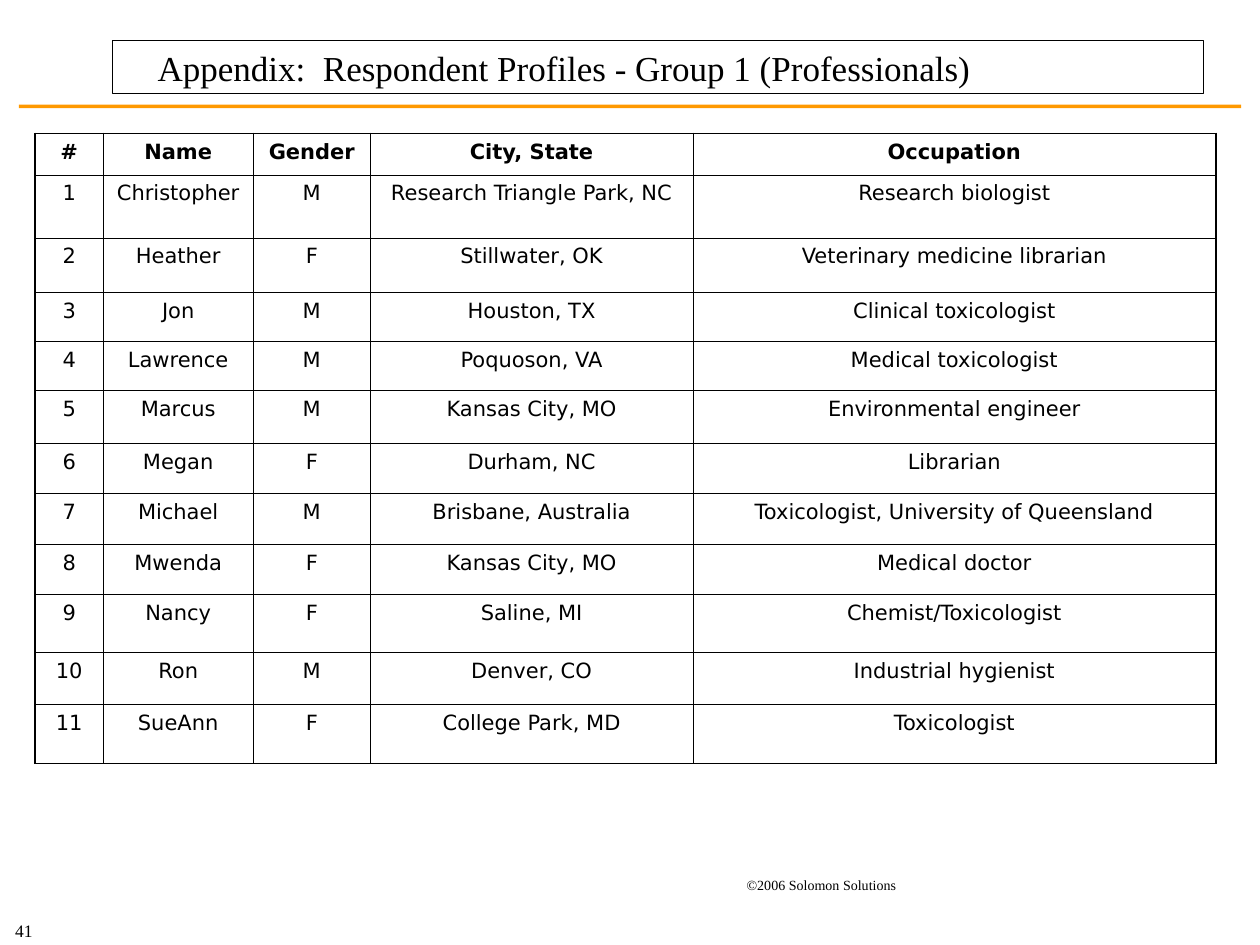
from lxml.etree import SubElement as Sub
from pptx import Presentation
from pptx.dml.color import RGBColor
from pptx.enum.shapes import MSO_SHAPE as Shape
from pptx.enum.text import MSO_ANCHOR as Anchor, MSO_AUTO_SIZE as Fit, PP_ALIGN as Align
from pptx.oxml.ns import qn
from pptx.util import Inches, Pt

SERIF, SANS = "Times New Roman", "DejaVu Sans"
BLACK, WHITE, ORANGE = "000000", "FFFFFF", "FF9900"
THIN, THICK = 0.45, 1.08
COLS = [0.54, 1.19, 0.93, 2.56, 4.15]
ROWS = [0.33, 0.5, 0.43, 0.39, 0.39, 0.42, 0.4, 0.4, 0.4, 0.46, 0.41, 0.47]
HEADS = ("#", "Name", "Gender", "City, State", "Occupation")
PEOPLE = [
    ("Christopher", "M", "Research Triangle Park, NC", "Research biologist"),
    ("Heather", "F", "Stillwater, OK", "Veterinary medicine librarian"),
    ("Jon", "M", "Houston, TX", "Clinical toxicologist"),
    ("Lawrence", "M", "Poquoson, VA", "Medical toxicologist"),
    ("Marcus", "M", "Kansas City, MO", "Environmental engineer"),
    ("Megan", "F", "Durham, NC", "Librarian"),
    ("Michael", "M", "Brisbane, Australia", "Toxicologist, University of Queensland"),
    ("Mwenda", "F", "Kansas City, MO", "Medical doctor"),
    ("Nancy", "F", "Saline, MI", "Chemist/Toxicologist"),
    ("Ron", "M", "Denver, CO", "Industrial hygienist"),
    ("SueAnn", "F", "College Park, MD", "Toxicologist"),
]


def color(code):
    return RGBColor.from_string(code)


def write(frame, text, size, face, align=Align.CENTER, bold=False):
    para = frame.paragraphs[0]
    para.alignment = align
    run = para.add_run()
    run.text = text
    font = run.font
    font.size, font.name, font.bold = Pt(size), face, bold
    font.color.rgb = color(BLACK)
    return para


def add_title(slide, left, top, width, height):
    title = slide.shapes.title
    title.left, title.top = Inches(left), Inches(top)
    title.width, title.height = Inches(width), Inches(height)
    title.fill.solid()
    title.fill.fore_color.rgb = color(WHITE)
    title.line.color.rgb = color(BLACK)
    title.line.width = Pt(0.75)
    frame = title.text_frame
    frame.auto_size = Fit.NONE
    frame.vertical_anchor = Anchor.TOP
    para = write(frame, "Appendix:  Respondent Profiles - Group 1 (Professionals)",
                 20, SERIF, Align.LEFT)
    props = para._p.get_or_add_pPr()
    props.set("marL", str(Inches(0.26)))
    props.set("indent", "0")


def add_rule(slide, left, top, width, height):
    rule = slide.shapes.add_shape(Shape.RECTANGLE, Inches(left), Inches(top),
                                  Inches(width), Inches(height))
    rule.shadow.inherit = False
    rule.fill.solid()
    rule.fill.fore_color.rgb = color(ORANGE)
    rule.line.fill.background()


def add_note(slide, text, size, left, top, width, height, wrap=True):
    box = slide.shapes.add_textbox(Inches(left), Inches(top), Inches(width), Inches(height))
    frame = box.text_frame
    frame.word_wrap = wrap
    frame.vertical_anchor = Anchor.MIDDLE
    write(frame, text, size, SERIF)


def set_edges(cell, outer):
    """Draw the four cell borders, thick on the sides named in outer."""
    props = cell._tc.get_or_add_tcPr()
    for side in "LRTB":
        width = THICK if side in outer else THIN
        line = Sub(props, qn(f"a:ln{side}"), w=str(Pt(width)))
        Sub(Sub(line, qn("a:solidFill")), qn("a:srgbClr"), val=BLACK)


def add_grid(slide, left, top):
    data = [HEADS] + [(str(n), *person) for n, person in enumerate(PEOPLE, 1)]
    table = slide.shapes.add_table(len(ROWS), len(COLS), Inches(left), Inches(top),
                                   Inches(sum(COLS)), Inches(sum(ROWS))).table
    table.first_row = table.horz_banding = False
    for col, width in zip(table.columns, COLS):
        col.width = Inches(width)
    for r, (row, height) in enumerate(zip(table.rows, ROWS)):
        row.height = Inches(height)
        for c, cell in enumerate(row.cells):
            ends = {"L": c == 0, "R": c == len(COLS) - 1,
                    "T": r == 0, "B": r == len(ROWS) - 1}
            set_edges(cell, [side for side, end in ends.items() if end])
            cell.fill.background()
            cell.margin_left = cell.margin_right = Inches(0.1)
            cell.margin_top = cell.margin_bottom = Inches(0.05)
            write(cell.text_frame, data[r][c], 12, SANS, bold=r == 0)


def main():
    deck = Presentation()
    deck.slide_width, deck.slide_height = Inches(10), Inches(7.5)
    slide = deck.slides.add_slide(deck.slide_layouts[5])
    add_note(slide, "41", 10, -0.2, 7.25, 0.78, 0.27, wrap=False)
    add_rule(slide, 0.15, 0.83, 9.7, 0.03)
    add_note(slide, "©2006 Solomon Solutions", 8, 4.93, 6.9, 3.18, 0.24)
    add_title(slide, 0.89, 0.32, 8.66, 0.42)
    add_grid(slide, 0.28, 1.06)
    deck.save("out.pptx")


if __name__ == "__main__":
    main()
